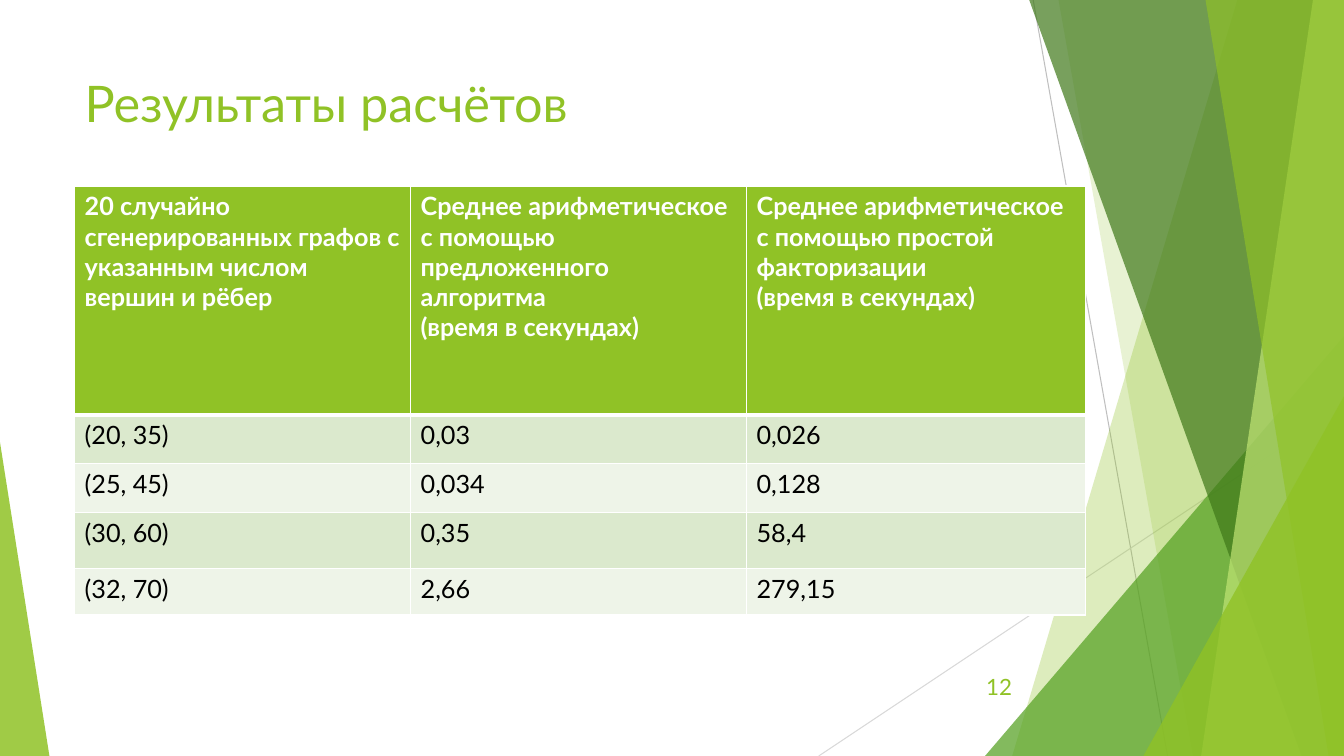
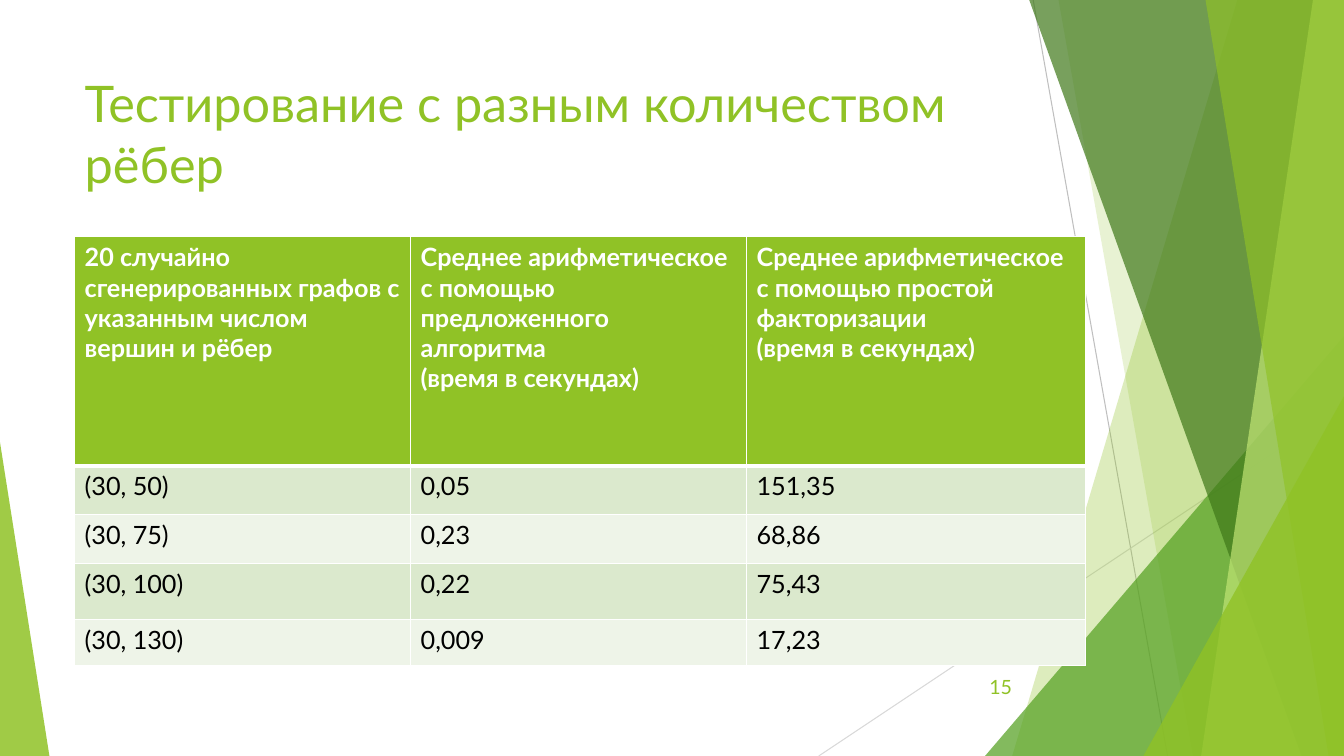
from dataclasses import dataclass

from lxml import etree
from pptx import Presentation
from pptx.dml.color import RGBColor
from pptx.enum.shapes import MSO_CONNECTOR, MSO_SHAPE
from pptx.enum.text import MSO_ANCHOR, MSO_AUTO_SIZE, PP_ALIGN
from pptx.oxml.ns import qn
from pptx.util import Pt

STRAIGHT = MSO_CONNECTOR.STRAIGHT
TRIANGLE = MSO_SHAPE.ISOSCELES_TRIANGLE
TOP, MIDDLE = MSO_ANCHOR.TOP, MSO_ANCHOR.MIDDLE
LEFT, RIGHT = PP_ALIGN.LEFT, PP_ALIGN.RIGHT
NO_FIT = MSO_AUTO_SIZE.NONE

WHITE = RGBColor(0xFF, 0xFF, 0xFF)
BLACK = RGBColor(0x00, 0x00, 0x00)
GREEN = RGBColor(0x90, 0xC2, 0x26)
LEAF = RGBColor(0x54, 0xA0, 0x21)
FOREST = RGBColor(0x3F, 0x78, 0x19)
LIME = RGBColor(0xC0, 0xE4, 0x74)
GRAY = RGBColor(0xBF, 0xBF, 0xBF)
PALE_GRAY = RGBColor(0xD9, 0xD9, 0xD9)
ROW_FILLS = (RGBColor(0xDB, 0xE9, 0xCD), RGBColor(0xEE, 0xF4, 0xE8))

FONT = "Lato"
WIDTH, HEIGHT = 960, 540
BLEED = -0.6  # top of the slanted bands
MARGIN = 53.3
COLUMNS = (240, 240, 242)
ROWS = (163.5, 35, 35, 40, 33)
HEADER = (
    "20 случайно сгенерированных графов с указанным числом вершин и рёбер",
    "Среднее арифметическое с помощью предложенного алгоритма\n(время в секундах)",
    "Среднее арифметическое с помощью простой факторизации\n(время в секундах)",
)


@dataclass(frozen=True)
class Line:
    x1: float
    y1: float
    x2: float
    y2: float
    color: RGBColor


@dataclass(frozen=True)
class Band:
    """A slanted band reaching the right edge of the slide."""
    top_x: float
    bottom_x: float
    color: RGBColor
    opacity: int


@dataclass(frozen=True)
class Corner:
    """A right triangle standing on the bottom edge."""
    left: float
    top: float
    width: float
    apex: float
    color: RGBColor
    opacity: int


@dataclass(frozen=True)
class ResultSlide:
    title: str
    table_top: float
    number: str
    number_size: float
    rows: tuple[tuple[str, str, str], ...]


# Decoration, from back to front
DECORATION = (
    Line(738, 0, 834, HEIGHT, GRAY),
    Line(WIDTH, 290, 584.8, HEIGHT, PALE_GRAY),
    Band(884, 723, GREEN, 30),
    Band(756, 852, GREEN, 20),
    Corner(703.6, 240, 256.4, 1, LEAF, 72),
    Band(735, 929.7, FOREST, 70),
    Band(938, 858, LIME, 70),
    Band(861, 949, GREEN, 65),
    Corner(816.7, 283, 143.3, 1, GREEN, 80),
    Corner(0, 316, 35.3, 0, GREEN, 85),
)

SLIDES = (
    ResultSlide("Результаты расчётов", 132.8, "12", 16, (
        ("(20, 35)", "0,03", "0,026"),
        ("(25, 45)", "0,034", "0,128"),
        ("(30, 60)", "0,35", "58,4"),
        ("(32, 70)", "2,66", "279,15"),
    )),
    ResultSlide("Тестирование с разным количеством рёбер", 169.2, "15", 14, (
        ("(30, 50)", "0,05", "151,35"),
        ("(30, 75)", "0,23", "68,86"),
        ("(30, 100)", "0,22", "75,43"),
        ("(30, 130)", "0,009", "17,23"),
    )),
)


def write(tf, text: str, size: float, color: RGBColor, bold=False, align=LEFT) -> None:
    """Fill a text frame, one paragraph per line of text."""
    for i, line in enumerate(text.split("\n")):
        p = tf.add_paragraph() if i else tf.paragraphs[0]
        p.alignment = align
        r = p.add_run()
        r.text = line
        r.font.name, r.font.size, r.font.bold = FONT, Pt(size), bold
        r.font.color.rgb = color


def paint(sp, color: RGBColor, opacity: int) -> None:
    sp.shadow.inherit = False
    sp.line.fill.background()
    sp.fill.solid()
    sp.fill.fore_color.rgb = color
    clr = sp._element.spPr.find(qn("a:solidFill"))[0]
    etree.SubElement(clr, qn("a:alpha"), val=str(opacity * 1000))


def draw_line(s, line: Line) -> None:
    cx = s.shapes.add_connector(STRAIGHT, Pt(line.x1), Pt(line.y1), Pt(line.x2), Pt(line.y2))
    cx.line.color.rgb = line.color
    cx.line.width = Pt(0.75)
    etree.SubElement(cx._element.spPr, qn("a:effectLst"))


def draw_band(s, band: Band) -> None:
    fb = s.shapes.build_freeform(Pt(band.top_x), Pt(BLEED))
    corners = ((WIDTH, BLEED), (WIDTH, HEIGHT), (band.bottom_x, HEIGHT))
    fb.add_line_segments([(Pt(x), Pt(y)) for x, y in corners], close=True)
    paint(fb.convert_to_shape(), band.color, band.opacity)


def draw_corner(s, corner: Corner) -> None:
    sp = s.shapes.add_shape(TRIANGLE, Pt(corner.left), Pt(corner.top),
                            Pt(corner.width), Pt(HEIGHT - corner.top))
    sp.adjustments[0] = corner.apex
    paint(sp, corner.color, corner.opacity)


DRAWERS = {Line: draw_line, Band: draw_band, Corner: draw_corner}


def set_borders(cell, top: float, bottom: float) -> None:
    """White borders; they must precede the fill in the cell properties."""
    tc_pr = cell._tc.get_or_add_tcPr()
    widths = (("L", 1), ("R", 1), ("T", top), ("B", bottom))
    for i, (side, width) in enumerate(widths):
        ln = etree.Element(qn(f"a:ln{side}"), w=str(Pt(width)))
        fill = etree.SubElement(ln, qn("a:solidFill"))
        etree.SubElement(fill, qn("a:srgbClr"), val=str(WHITE))
        tc_pr.insert(i, ln)


def add_results(s, top: float, rows: tuple[tuple[str, str, str], ...]) -> None:
    table = s.shapes.add_table(len(ROWS), len(COLUMNS), Pt(MARGIN), Pt(top),
                               Pt(sum(COLUMNS)), Pt(sum(ROWS))).table
    for column, width in zip(table.columns, COLUMNS):
        column.width = Pt(width)
    for i, (row, height) in enumerate(zip(table.rows, ROWS)):
        row.height = Pt(height)
        is_header = i == 0
        for cell, text in zip(row.cells, (HEADER, *rows)[i]):
            cell.fill.solid()
            cell.fill.fore_color.rgb = GREEN if is_header else ROW_FILLS[(i - 1) % 2]
            set_borders(cell, 3 if i == 1 else 1, 3 if is_header else 1)
            write(cell.text_frame, text, 18, WHITE if is_header else BLACK, is_header)


def add_title(s, text: str) -> None:
    sp = s.shapes.title
    sp.left, sp.top, sp.width, sp.height = Pt(MARGIN), Pt(48), Pt(677), Pt(104)
    tf = sp.text_frame
    tf.word_wrap, tf.auto_size, tf.vertical_anchor = True, NO_FIT, TOP
    write(tf, text, 36, GREEN)


def add_number(s, text: str, size: float) -> None:
    tf = s.shapes.add_textbox(Pt(676), Pt(476), Pt(54), Pt(28.8)).text_frame
    tf.word_wrap, tf.vertical_anchor = True, MIDDLE
    write(tf, text, size, GREEN, align=RIGHT)


def add_slide(prs, content: ResultSlide) -> None:
    s = prs.slides.add_slide(prs.slide_layouts[5])
    for item in DECORATION:
        DRAWERS[type(item)](s, item)
    add_title(s, content.title)
    add_results(s, content.table_top, content.rows)
    add_number(s, content.number, content.number_size)


def main() -> None:
    prs = Presentation()
    prs.slide_width, prs.slide_height = Pt(WIDTH), Pt(HEIGHT)
    for content in SLIDES:
        add_slide(prs, content)
    prs.save("out.pptx")


if __name__ == "__main__":
    main()
